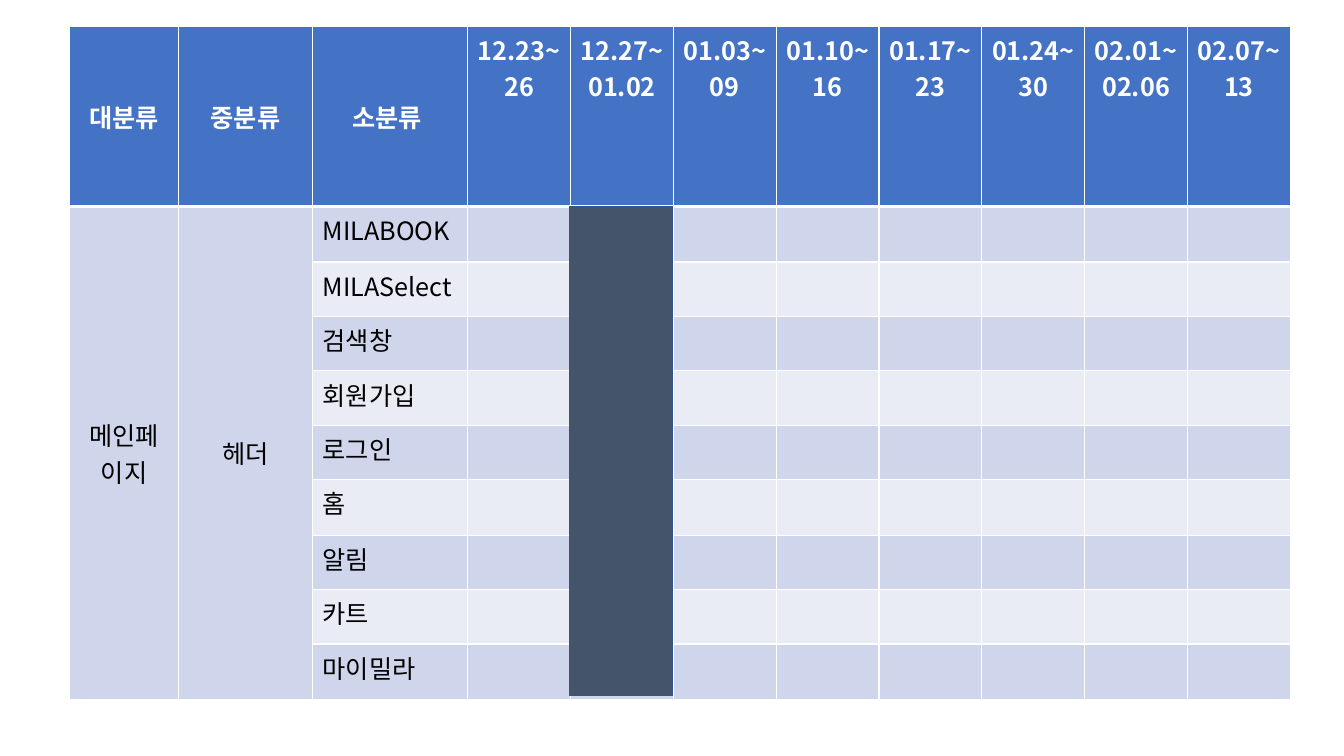
from lxml.etree import SubElement
from pptx import Presentation
from pptx.dml.color import RGBColor
from pptx.enum.shapes import MSO_SHAPE as Shape
from pptx.enum.text import MSO_ANCHOR as Anchor, PP_ALIGN as Align
from pptx.oxml.ns import qn
from pptx.util import Inches, Pt

FONT = "Noto Sans CJK KR"
COLORS = {
    "header": "4472C4",
    "band": "CFD5EA",
    "light": "E9EBF5",
    "grid": "FFFFFF",
    "text": "000000",
    "bar": "44546A",
    "bar_line": "325491",
}
CATEGORIES = ["대분류", "중분류", "소분류 "]
WEEKS = ["12.23~26", "12.27~01.02", "01.03~09", "01.10~16",
         "01.17~23", "01.24~30", "02.01~02.06", "02.07~13"]
TASKS = ["MILABOOK", "MILASelect", "검색창", "회원가입 ", "로그인",
         "홈", "알림", "카트", "마이밀라"]
GROUPS = ["메인페이지", "헤더"]
COLUMN_WIDTHS = [1.08, 1.33, 1.54] + [1.02] * len(WEEKS)
ROW_HEIGHTS = [1.79, 0.55, 0.54, 0.54, 0.54, 0.54, 0.55, 0.54, 0.54, 0.55]


def color(name):
    return RGBColor.from_string(COLORS[name])


def write(frame, text, size=18, fill="text", bold=False, align=Align.LEFT):
    para = frame.paragraphs[0]
    para.alignment = align
    span = para.add_run()
    span.text = text
    span.font.size = Pt(size)
    span.font.bold = bold
    span.font.color.rgb = color(fill)
    span.font.name = FONT
    SubElement(span.font._element, qn("a:ea"), typeface=FONT)


def format_cell(cell, fill, bottom=1):
    properties = cell._tc.get_or_add_tcPr()
    for side, width in zip("LRTB", (1, 1, 1, bottom)):
        line = SubElement(properties, qn(f"a:ln{side}"), w=str(Pt(width)))
        solid = SubElement(line, qn("a:solidFill"))
        SubElement(solid, qn("a:srgbClr"), val=COLORS["grid"])
    cell.fill.solid()
    cell.fill.fore_color.rgb = color(fill)


def fill_header(table):
    for column, label in enumerate(CATEGORIES + WEEKS):
        cell = table.cell(0, column)
        format_cell(cell, "header", bottom=3)
        write(cell.text_frame, label, fill="grid", bold=True, align=Align.CENTER)
        if column < len(CATEGORIES):
            cell.vertical_anchor = Anchor.MIDDLE


def fill_tasks(table):
    for row, task in enumerate(TASKS, start=1):
        for column in range(len(COLUMN_WIDTHS)):
            banded = column < len(GROUPS) or row % 2
            format_cell(table.cell(row, column), "band" if banded else "light")
        write(table.cell(row, len(GROUPS)).text_frame, task)
    for column, group in enumerate(GROUPS):
        cell = table.cell(1, column)
        cell.merge(table.cell(len(TASKS), column))
        cell.vertical_anchor = Anchor.MIDDLE
        write(cell.text_frame, group, align=Align.CENTER)


def add_schedule(page, left, top):
    table = page.shapes.add_table(
        len(ROW_HEIGHTS), len(COLUMN_WIDTHS), Inches(left), Inches(top),
        Inches(sum(COLUMN_WIDTHS)), Inches(sum(ROW_HEIGHTS))).table
    for column, width in zip(table.columns, COLUMN_WIDTHS):
        column.width = Inches(width)
    for row, height in zip(table.rows, ROW_HEIGHTS):
        row.height = Inches(height)
    fill_header(table)
    fill_tasks(table)


def add_week_bar(page, left, top, width, height):
    bar = page.shapes.add_shape(Shape.RECTANGLE, Inches(left), Inches(top),
                                Inches(width), Inches(height))
    bar.shadow.inherit = False
    bar.fill.solid()
    bar.fill.fore_color.rgb = color("bar")
    bar.line.color.rgb = color("bar_line")
    bar.line.width = Pt(1)


def main():
    deck = Presentation()
    deck.slide_width, deck.slide_height = Inches(13.33), Inches(7.5)
    page = deck.slides.add_slide(deck.slide_layouts[6])
    add_schedule(page, 0.69, 0.26)
    add_week_bar(page, 5.65, 2.05, 1.02, 4.85)
    deck.save("out.pptx")


if __name__ == "__main__":
    main()
